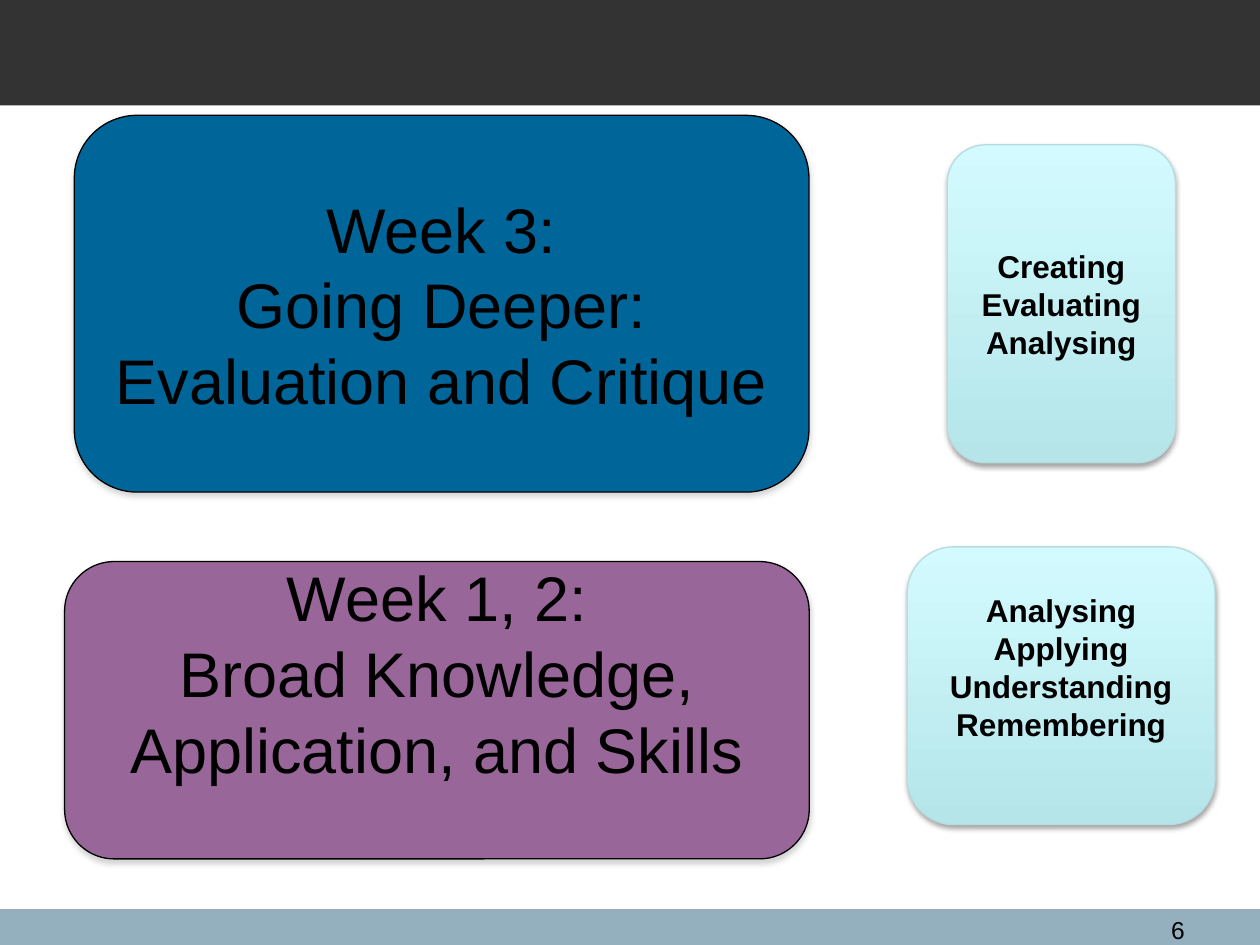
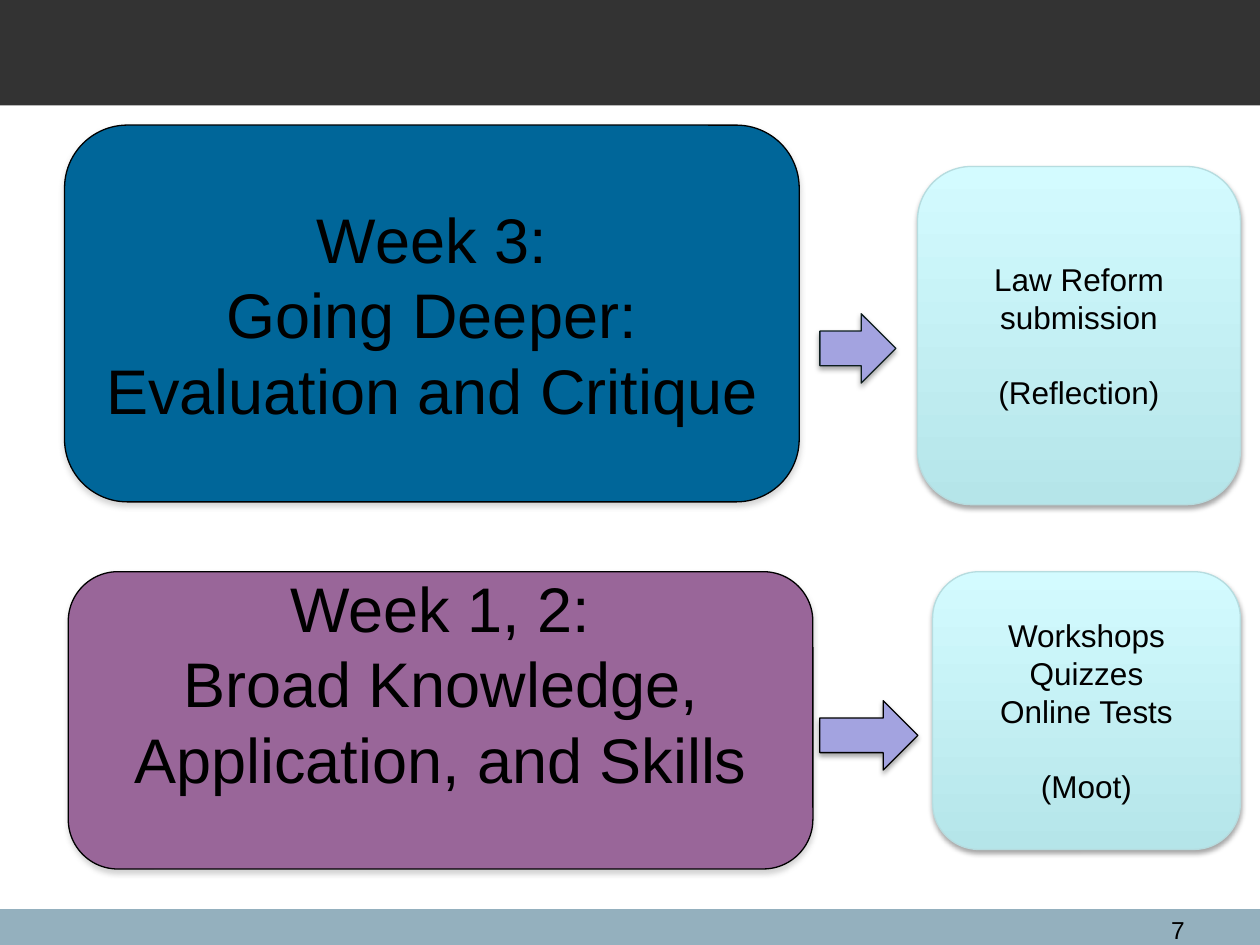
from lxml import etree
from pptx import Presentation
from pptx.dml import color
from pptx.enum import shapes, text
from pptx.oxml import ns
from pptx.util import Pt

COLOURS = {
    "header": "333333",
    "footer": "94B0BE",
    "deep": "006699",
    "broad": "996699",
    "arrow": "A3A3E0",
    "card_bottom": "B5E5E9",
    "card_top": "D3FBFF",
    "card_line": "B6DCDF",
    "arrow_line": "0C1C1D",
    "black": "000000",
    "grey": "808080",
}
FONT = "Arial"
WIDTH, HEIGHT = 720, 540
HEADER_HEIGHT, FOOTER_TOP = 60.2, 519.6
LINE_HEIGHT = 1.2
INSET = 3.6

DEEP_LINES = ["Week 3:", "Going Deeper: Evaluation and Critique"]
BROAD_LINES = ["Week 1, 2:", "Broad Knowledge, Application, and Skills"]
DEEP_SIZE = (419.8, 215.3)
BROAD_SIZE = (425.5, 169.9)


def rgb(name):
    return color.RGBColor.from_string(COLOURS[name])


def add_shadow(shape, name):
    effects = shape._element.spPr.find(ns.qn("a:effectLst"))
    shadow = etree.SubElement(
        effects, ns.qn("a:outerShdw"),
        blurRad=str(Pt(3.1)), dist=str(Pt(1.8)), dir="5400000", rotWithShape="0",
    )
    tint = etree.SubElement(shadow, ns.qn("a:srgbClr"), val=COLOURS[name])
    etree.SubElement(tint, ns.qn("a:alpha"), val="35000")


def add_shape(page, kind, place, fill, line=None, shadow=None):
    shape = page.shapes.add_shape(kind, *map(Pt, place))
    shape.shadow.inherit = False
    if fill:
        shape.fill.solid()
        shape.fill.fore_color.rgb = rgb(fill)
    if line:
        shape.line.color.rgb = rgb(line)
        shape.line.width = Pt(0.75)
    else:
        shape.line.fill.background()
    if shadow:
        add_shadow(shape, shadow)
    return shape


def write_lines(box, lines, size, bold=False, lines_below=0, gap_before=None):
    frame = box.text_frame
    frame.word_wrap = True
    frame.vertical_anchor = text.MSO_ANCHOR.MIDDLE
    pitch = size * LINE_HEIGHT
    frame.margin_bottom = Pt(INSET + lines_below * pitch)
    for index, line in enumerate(lines):
        para = frame.add_paragraph() if index else frame.paragraphs[0]
        para.text = line
        para.alignment = text.PP_ALIGN.CENTER
        para.line_spacing = Pt(pitch)
        if line == gap_before:
            para.space_before = Pt(pitch)
        set_font(para, size, bold)


def set_font(para, size, bold=False):
    para.font.name = FONT
    para.font.size = Pt(size)
    para.font.bold = bold
    para.font.color.rgb = rgb("black")


def add_stage(page, place, fill, lines, lines_below=0):
    box = add_shape(page, shapes.MSO_SHAPE.ROUNDED_RECTANGLE, place, fill, "black", "grey")
    write_lines(box, lines, 36, lines_below=lines_below)


def add_week_stages(page, deep_corner, broad_corner):
    add_stage(page, broad_corner + BROAD_SIZE, "broad", BROAD_LINES, lines_below=1)
    add_stage(page, deep_corner + DEEP_SIZE, "deep", DEEP_LINES)


def add_card(page, place, lines, **style):
    card = add_shape(page, shapes.MSO_SHAPE.ROUNDED_RECTANGLE, place, None, "card_line", "black")
    card.fill.gradient()
    card.fill.gradient_angle = 90
    for stop, name in zip(card.fill.gradient_stops, ("card_bottom", "card_top")):
        stop.color.rgb = rgb(name)
    write_lines(card, lines, 18, **style)


def add_arrow(page, place, line):
    add_shape(page, shapes.MSO_SHAPE.RIGHT_ARROW, place, "arrow", line, "black")


def add_page(deck, number):
    page = deck.slides.add_slide(deck.slide_layouts[6])
    rectangle = shapes.MSO_SHAPE.RECTANGLE
    add_shape(page, rectangle, (0, FOOTER_TOP, WIDTH, HEIGHT - FOOTER_TOP), "footer")
    add_shape(page, rectangle, (0, 0, WIDTH, HEADER_HEIGHT), "header")
    box = page.shapes.add_textbox(*map(Pt, (638, FOOTER_TOP, 46, 17.3)))
    box.text_frame.word_wrap = True
    para = box.text_frame.paragraphs[0]
    para.text = str(number)
    para.alignment = text.PP_ALIGN.RIGHT
    set_font(para, 14)
    return page


def add_thinking_skills(deck):
    page = add_page(deck, 6)
    add_week_stages(page, (42.5, 65.9), (36.9, 320.9))
    add_card(page, (518.4, 312.5, 175.9, 158.7),
             ["Analysing", "Applying", "Understanding", "Remembering"],
             bold=True, lines_below=1)
    add_card(page, (541.3, 82.8, 130.4, 181.7),
             ["Creating", "Evaluating", "Analysing"], bold=True)


def add_assessments(deck):
    page = add_page(deck, 7)
    add_week_stages(page, (36.9, 71.5), (39, 326.7))
    add_card(page, (532.9, 326.7, 175.9, 158.7),
             ["Workshops", "Quizzes", "Online Tests", "(Moot)"], gap_before="(Moot)")
    add_card(page, (524.3, 95.2, 184.5, 193.2),
             ["Law Reform submission", "(Reflection)"], gap_before="(Reflection)")
    add_arrow(page, (468.5, 179.3, 43.4, 39.6), "arrow_line")
    add_arrow(page, (468.5, 400.4, 56, 39.6), "black")


def main():
    deck = Presentation()
    deck.slide_width, deck.slide_height = Pt(WIDTH), Pt(HEIGHT)
    add_thinking_skills(deck)
    add_assessments(deck)
    deck.save("out.pptx")


if __name__ == "__main__":
    main()
